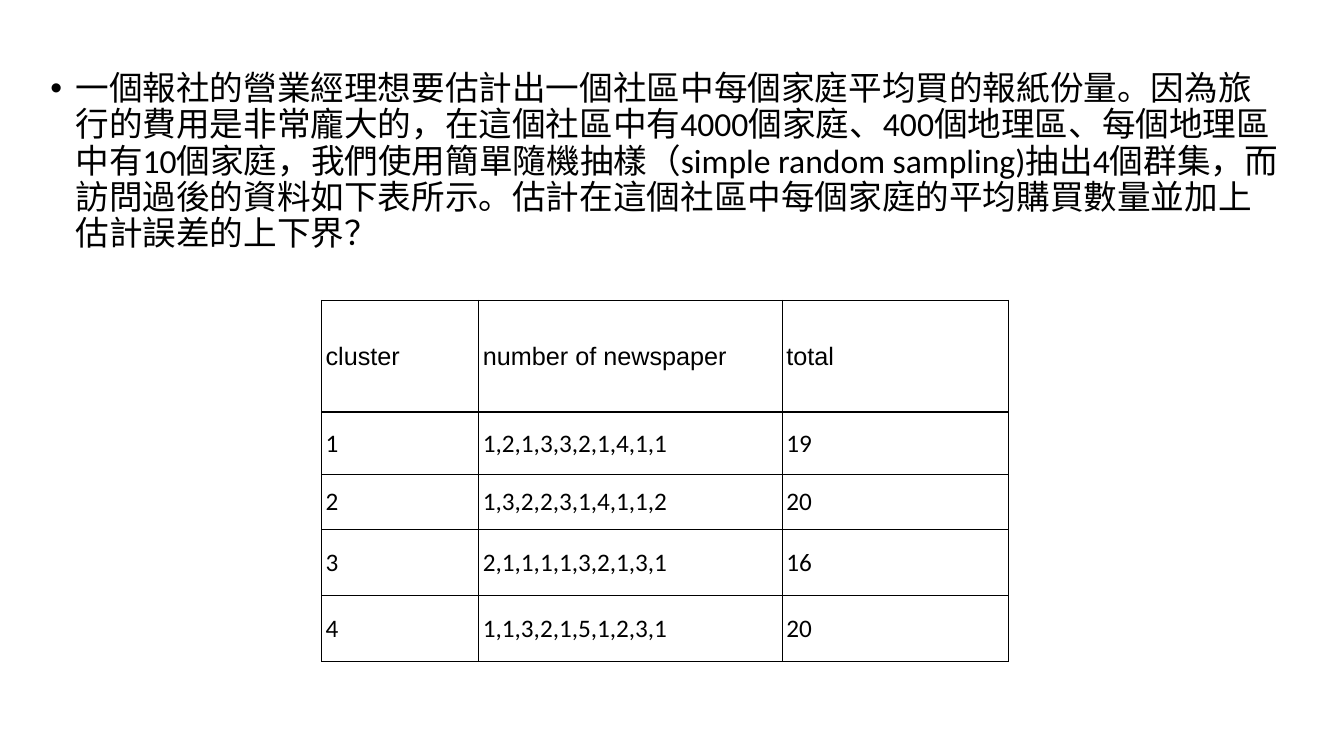
from lxml import etree
from pptx import Presentation
from pptx.dml.color import RGBColor
from pptx.enum.text import MSO_ANCHOR
from pptx.oxml.ns import qn
from pptx.util import Inches, Pt

BLACK, WHITE = "000000", "FFFFFF"
QUESTION = (
    "一個報社的營業經理想要估計出一個社區中每個家庭平均買的報紙份量。"
    "因為旅行的費用是非常龐大的，在這個社區中有4000個家庭、400個地理區、"
    "每個地理區中有10個家庭，我們使用簡單隨機抽樣（simple random sampling)"
    "抽出4個群集，而訪問過後的資料如下表所示。"
    "估計在這個社區中每個家庭的平均購買數量並加上估計誤差的上下界？"
)
ROWS = [
    ("cluster", "number of newspaper", "total"),
    ("1", "1,2,1,3,3,2,1,4,1,1", "19"),
    ("2", "1,3,2,2,3,1,4,1,1,2", "20"),
    ("3", "2,1,1,1,1,3,2,1,3,1", "16"),
    ("4", "1,1,3,2,1,5,1,2,3,1", "20"),
]
COL_WIDTHS = [1.56, 3.01, 2.24]
ROW_HEIGHTS = [1.11, 0.62, 0.54, 0.66, 0.65]


def color(value):
    return RGBColor.from_string(value)


def add_run(p, text, size, font):
    r = p.add_run()
    r.text = text
    for name, value in {"size": Pt(size), "name": font}.items():
        setattr(r.font, name, value)
    r.font.color.rgb = color(BLACK)
    rPr = r.font._element
    etree.SubElement(rPr, qn("a:ea"), typeface=font)


def add_question(slide, left, top, width, height):
    tf = slide.shapes.add_textbox(*map(Inches, (left, top, width, height))).text_frame
    tf.word_wrap = True
    p = tf.paragraphs[0]
    p.line_spacing = 0.9
    p.space_before = Pt(10)
    pPr = p._p.get_or_add_pPr()
    pPr.set("marL", str(Inches(0.25)))
    pPr.set("indent", str(Inches(-0.25)))
    etree.SubElement(pPr, qn("a:buFont"), typeface="Arial")
    etree.SubElement(pPr, qn("a:buChar"), char="•")
    add_run(p, QUESTION, 24, "Calibri")


def add_borders(cell, widths):
    """Draw black cell borders; widths maps a side (L, R, T, B) to points."""
    tcPr = cell._tc.get_or_add_tcPr()
    for side, width in widths.items():
        ln = etree.SubElement(tcPr, qn(f"a:ln{side}"), w=str(Pt(width)))
        fill = etree.SubElement(ln, qn("a:solidFill"))
        etree.SubElement(fill, qn("a:srgbClr"), val=BLACK)


def style_cell(cell, text, is_header, below_header):
    add_borders(cell, {"L": 0.75, "R": 0.75,
                       "T": 1.5 if below_header else 0.75,
                       "B": 1.5 if is_header else 0.75})
    cell.fill.solid()
    cell.fill.fore_color.rgb = color(WHITE)
    cell.vertical_anchor = MSO_ANCHOR.MIDDLE
    for side in ("left", "right", "top", "bottom"):
        setattr(cell, f"margin_{side}", Inches(0.04))
    add_run(cell.text_frame.paragraphs[0], text, 18,
            "Arial" if is_header else "Calibri")


def add_cluster_table(slide, left, top):
    box = (left, top, sum(COL_WIDTHS), sum(ROW_HEIGHTS))
    table = slide.shapes.add_table(len(ROWS), len(COL_WIDTHS), *map(Inches, box)).table
    table.first_row = table.horz_banding = False
    for col, width in zip(table.columns, COL_WIDTHS):
        col.width = Inches(width)
    for row, height in zip(table.rows, ROW_HEIGHTS):
        row.height = Inches(height)
    for i, texts in enumerate(ROWS):
        for j, text in enumerate(texts):
            style_cell(table.cell(i, j), text, i == 0, i == 1)


def main():
    prs = Presentation()
    prs.slide_width, prs.slide_height = Inches(13.33), Inches(7.5)
    slide = prs.slides.add_slide(prs.slide_layouts[6])
    add_question(slide, 0.4, 0.66, 12.38, 1.93)
    add_cluster_table(slide, 3.19, 2.98)
    prs.save("out.pptx")


if __name__ == "__main__":
    main()
